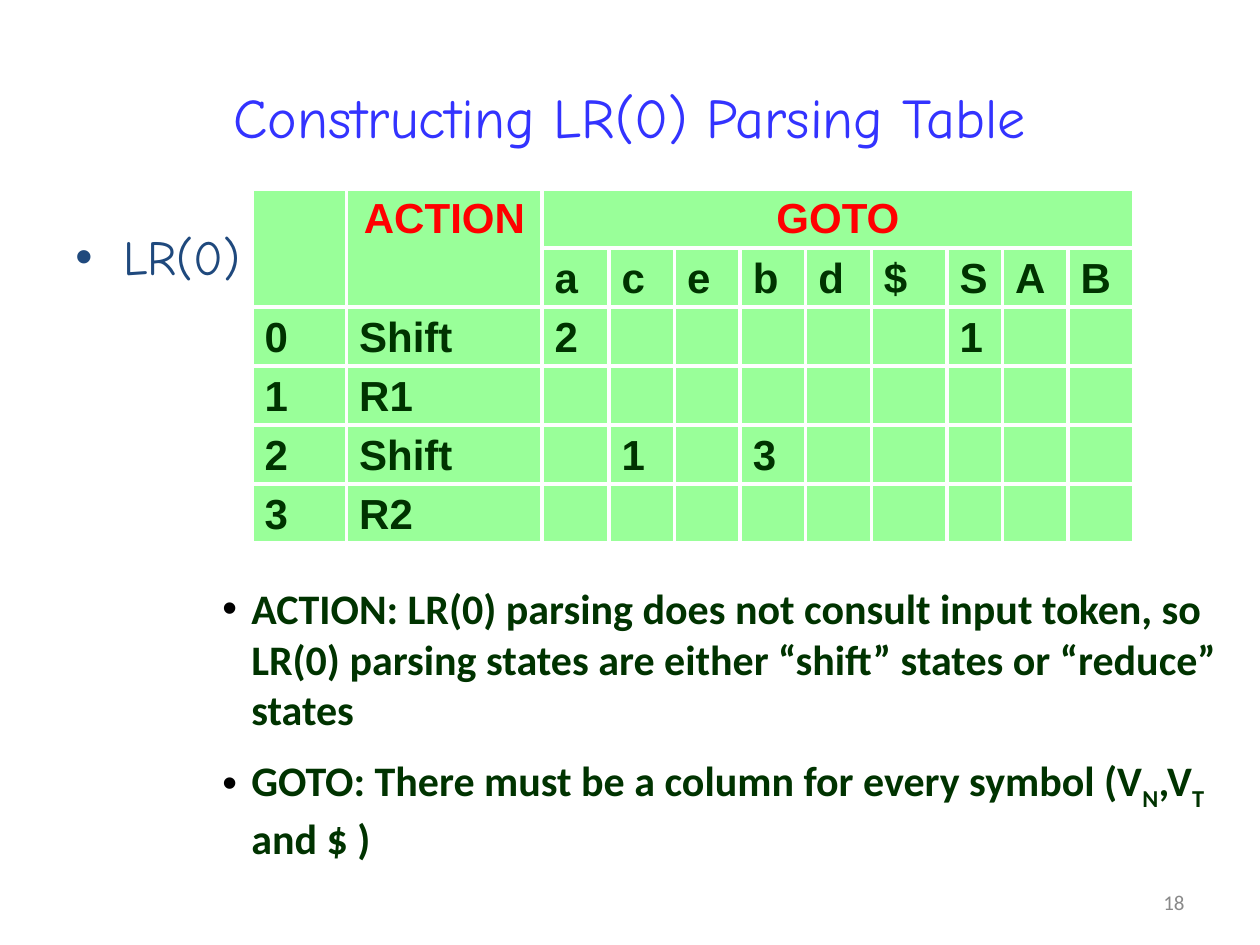
from pptx import Presentation
from pptx.dml.color import RGBColor
from pptx.enum.text import MSO_ANCHOR, PP_ALIGN
from pptx.oxml import parse_xml
from pptx.oxml.ns import nsdecls
from pptx.util import Inches, Pt

LEFT, MID, RIGHT = PP_ALIGN.LEFT, PP_ALIGN.CENTER, PP_ALIGN.RIGHT
TOP, CENTER = MSO_ANCHOR.TOP, MSO_ANCHOR.MIDDLE
WIDE, HIGH = 10, 7.5
HEX = {"title": "3333FF", "body": "1F497D", "head": "FF0000", "ink": "003300",
       "cell": "99FF99", "line": "FFFFFF", "dot": "000000", "page": "898989"}

HEADS = ["a", "c", "e", "b", "d", "$", "S", "A", "B"]
STATES = [("0", "Shift", {"a": "2", "S": "1"}),
          ("1", "R1", {}),
          ("2", "Shift", {"c": "1", "b": "3"}),
          ("3", "R2", {})]
COLS = [0.75, 1.55, 0.53, 0.52, 0.52, 0.52, 0.52, 0.6, 0.44, 0.52, 0.52]


def write(frame, paras, size=24, font="Calibri", color="ink", bold=False,
          align=LEFT, gap=0, dent=0, dot=None):
    """Each paragraph is a list of runs; a run starting with _ is a subscript."""
    for i, runs in enumerate(paras):
        para = frame.paragraphs[0] if i == 0 else frame.add_paragraph()
        para.alignment = align
        para.space_before = Pt(gap if i else 0)
        if dent:
            props = para._p.get_or_add_pPr()
            props.set("marL", str(Inches(dent)))
            props.set("indent", str(-Inches(dent)))
            props.append(parse_xml(
                f'<a:buClr {nsdecls("a")}><a:srgbClr val="{HEX[dot]}"/></a:buClr>'))
            props.append(parse_xml(f'<a:buFont {nsdecls("a")} typeface="Arial"/>'))
            props.append(parse_xml(f'<a:buChar {nsdecls("a")} char="•"/>'))
        for text in runs:
            run = para.add_run()
            run.text = text.removeprefix("_")
            run.font.size, run.font.name, run.font.bold = Pt(size), font, bold
            run.font.color.rgb = RGBColor.from_string(HEX[color])
            if text.startswith("_"):
                run._r.get_or_add_rPr().set("baseline", "-25000")


def place(slide, box, paras, anchor=TOP, **style):
    """Box is left, top, width and height as shares of the slide."""
    x, y, w, h = box
    shape = slide.shapes.add_textbox(Inches(x * WIDE), Inches(y * HIGH),
                                     Inches(w * WIDE), Inches(h * HIGH))
    frame = shape.text_frame
    frame.word_wrap = True
    frame.vertical_anchor = anchor
    write(frame, paras, **style)


def edge(cell):
    props = cell._tc.get_or_add_tcPr()
    for i, side in enumerate(("lnL", "lnR", "lnT", "lnB")):
        props.insert(i, parse_xml(
            f'<a:{side} {nsdecls("a")} w="{Pt(2.25)}"><a:solidFill>'
            f'<a:srgbClr val="{HEX["line"]}"/></a:solidFill></a:{side}>'))


def grid(slide, box):
    x, y, w, h = box
    rows = [["", "ACTION", "GOTO"] + [""] * 8, ["", ""] + HEADS]
    rows += [[num, act] + [goto.get(sym, "") for sym in HEADS]
             for num, act, goto in STATES]
    table = slide.shapes.add_table(
        len(rows), len(COLS), Inches(x * WIDE), Inches(y * HIGH),
        Inches(w * WIDE), Inches(h * HIGH)).table
    for col, part in zip(table.columns, COLS):
        col.width = Inches(w * WIDE * part / sum(COLS))
    for r, row in enumerate(rows):
        table.rows[r].height = Inches(h * HIGH / len(rows))
        for c, text in enumerate(row):
            cell = table.cell(r, c)
            cell.fill.solid()
            cell.fill.fore_color.rgb = RGBColor.from_string(HEX["cell"])
            cell.margin_left = cell.margin_right = Inches(0.1)
            cell.margin_top, cell.margin_bottom = Pt(4), Pt(0)
            edge(cell)
            if text:
                write(cell.text_frame, [[text]], font="Arial", bold=True,
                      color="ink" if r else "head", align=LEFT if r else MID)
    # Merged heads
    for c in (0, 1):
        table.cell(0, c).merge(table.cell(1, c))
    table.cell(0, 2).merge(table.cell(0, len(COLS) - 1))


def notes(slide, box):
    place(slide, box, [
        ["ACTION: LR(0) parsing does not consult input token, so LR(0) parsing "
         "states are either “shift” states or “reduce” states"],
        ["GOTO: There must be a column for every symbol (V", "_N", ",V", "_T",
         " and $ )"],
    ], bold=True, gap=12, dent=0.23, dot="dot")


def main():
    deck = Presentation()
    deck.slide_width, deck.slide_height = Inches(WIDE), Inches(HIGH)
    slide = deck.slides.add_slide(deck.slide_layouts[6])
    # Title and lead bullet
    place(slide, (0.05, 0.04, 0.9, 1 / 6), [["Constructing LR(0) Parsing Table"]],
          anchor=CENTER, size=32, font="Comic Neue", color="title", align=MID)
    place(slide, (0.05, 7 / 30, 0.9, 0.66), [["LR(0)"]],
          size=28, font="Comic Neue", color="body", dent=0.38, dot="body")
    # Parsing table and remarks
    grid(slide, (0.2, 0.2, 0.7, 3 / 8))
    notes(slide, (1 / 6, 0.61, 0.82, 0.31))
    # Page number
    place(slide, (0.72, 0.93, 0.23, 0.05), [["18"]], anchor=CENTER,
          size=12, color="page", align=RIGHT)
    deck.save("out.pptx")


if __name__ == "__main__":
    main()
